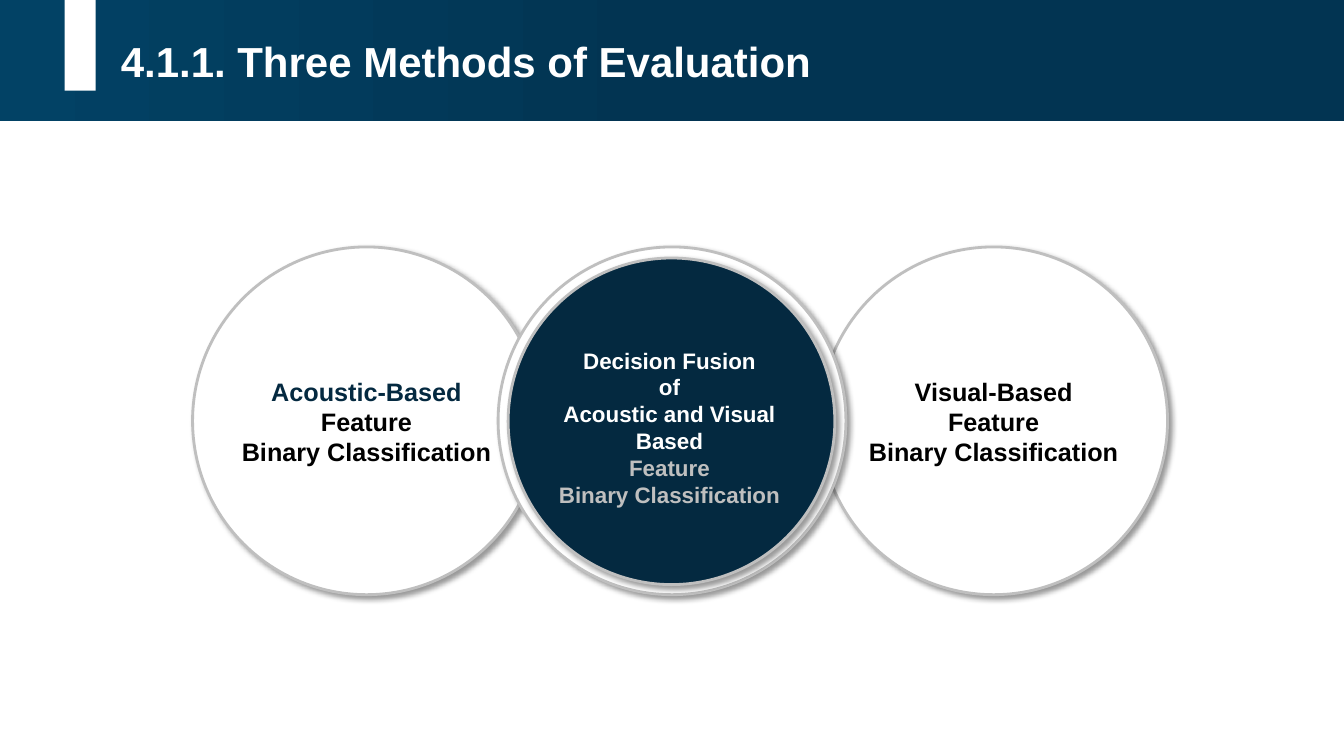
from dataclasses import dataclass

from lxml import etree
from pptx import Presentation
from pptx import util as u
from pptx.dml.color import RGBColor
from pptx.enum import shapes, text
from pptx.oxml import ns


@dataclass(frozen=True)
class Theme:
    font: str = "Arial"
    white: str = "FFFFFF"
    black: str = "000000"
    navy: str = "042940"
    grey: str = "BFBFBF"
    band: tuple = ((0, "023452"), (50, "023452"), (100, "024265"))
    title: int = 30
    label: int = 18
    core: int = 16
    rim: int = 2


T = Theme()
OVAL = shapes.MSO_SHAPE.OVAL
RECT = shapes.MSO_SHAPE.RECTANGLE
LEFT, MID = text.PP_ALIGN.LEFT, text.PP_ALIGN.CENTER


def rgb(code):
    return RGBColor.from_string(code)


def add_shape(group, kind, box, fill):
    part = group.shapes.add_shape(kind, *map(u.Inches, box))
    part.shadow.inherit = False
    part.fill.solid()
    part.fill.fore_color.rgb = rgb(fill)
    part.line.fill.background()
    return part


def add_disc(group, box, fill):
    """Rimmed circle with a soft shadow to the lower right."""
    disc = add_shape(group, OVAL, box, fill)
    disc.line.color.rgb = rgb(T.grey)
    disc.line.width = u.Pt(T.rim)
    glow = etree.SubElement(
        disc.element.spPr.find(ns.qn("a:effectLst")), ns.qn("a:outerShdw"),
        blurRad=str(u.Pt(4)), dist=str(u.Pt(3)), dir="2700000",
        algn="tl", rotWithShape="0")
    color = etree.SubElement(glow, ns.qn("a:srgbClr"), val=T.black)
    etree.SubElement(color, ns.qn("a:alpha"), val="40000")


def add_text(group, box, lines, size, align):
    """Bold text, one paragraph for each (words, colour) pair."""
    frame = group.shapes.add_textbox(*map(u.Inches, box)).text_frame
    frame.word_wrap = True
    for i, (words, color) in enumerate(lines):
        para = frame.add_paragraph() if i else frame.paragraphs[0]
        para.alignment = align
        run = para.add_run()
        run.text = words
        run.font.name = T.font
        run.font.size = u.Pt(size)
        run.font.bold = True
        run.font.color.rgb = rgb(color)


def add_head(slide, box, title):
    """Gradient band with a white tab and the title."""
    x, y, w, h = box
    group = slide.shapes.add_group_shape()
    band = add_shape(group, RECT, box, T.navy)
    band.fill.gradient()
    band.fill.gradient_angle = 180
    stops = band.element.spPr.find(ns.qn("a:gradFill")).find(ns.qn("a:gsLst"))
    for stop in list(stops):
        stops.remove(stop)
    for spot, color in T.band:
        stop = etree.SubElement(stops, ns.qn("a:gs"), pos=str(spot * 1000))
        etree.SubElement(stop, ns.qn("a:srgbClr"), val=color)
    add_text(group, (x + 1.1, y + 0.3, 7.87, 0.61), [(title, T.white)],
             T.title, LEFT)
    add_shape(group, RECT, (x + 0.64, y, 0.31, h - 0.3), T.white)


def add_side(slide, box, lines):
    """Plain circle with a three-line label."""
    x, y, w, h = box
    group = slide.shapes.add_group_shape()
    add_disc(group, box, T.white)
    add_text(group, (x + 0.26, y + 1.23, w - 0.52, 1.01), lines, T.label, MID)


def add_core(slide, box, lines):
    """Dark disc inside a white ring."""
    x, y, w, h = box
    group = slide.shapes.add_group_shape()
    add_disc(group, box, T.white)
    add_disc(group, (x + 0.1, y + 0.11, w - 0.21, h - 0.21), T.navy)
    add_text(group, (x + 0.28, y + 0.94, 2.84, 1.72), lines, T.core, MID)


def main():
    deck = Presentation()
    deck.slide_width, deck.slide_height = u.Inches(13.33), u.Inches(7.5)
    slide = deck.slides.add_slide(deck.slide_layouts[6])
    top, size = 2.45, 3.45
    ending = ("Feature", "Binary Classification")

    # Outer circles, behind the core
    for left, name, color in ((8.13, "Visual-Based", T.black),
                              (1.91, "Acoustic-Based", T.navy)):
        lines = [(name, color)] + [(words, T.black) for words in ending]
        add_side(slide, (left, top, size, size), lines)

    # Title band
    add_head(slide, (0, 0, 13.33, 1.2), "4.1.1. Three Methods of Evaluation")

    # Fusion circle
    fusion = ("Decision Fusion", "of", "Acoustic and Visual", "Based")
    lines = [(words, T.white) for words in fusion]
    lines += [(words, T.grey) for words in ending]
    add_core(slide, (4.94, top, size, size), lines)

    deck.save("out.pptx")


if __name__ == "__main__":
    main()
